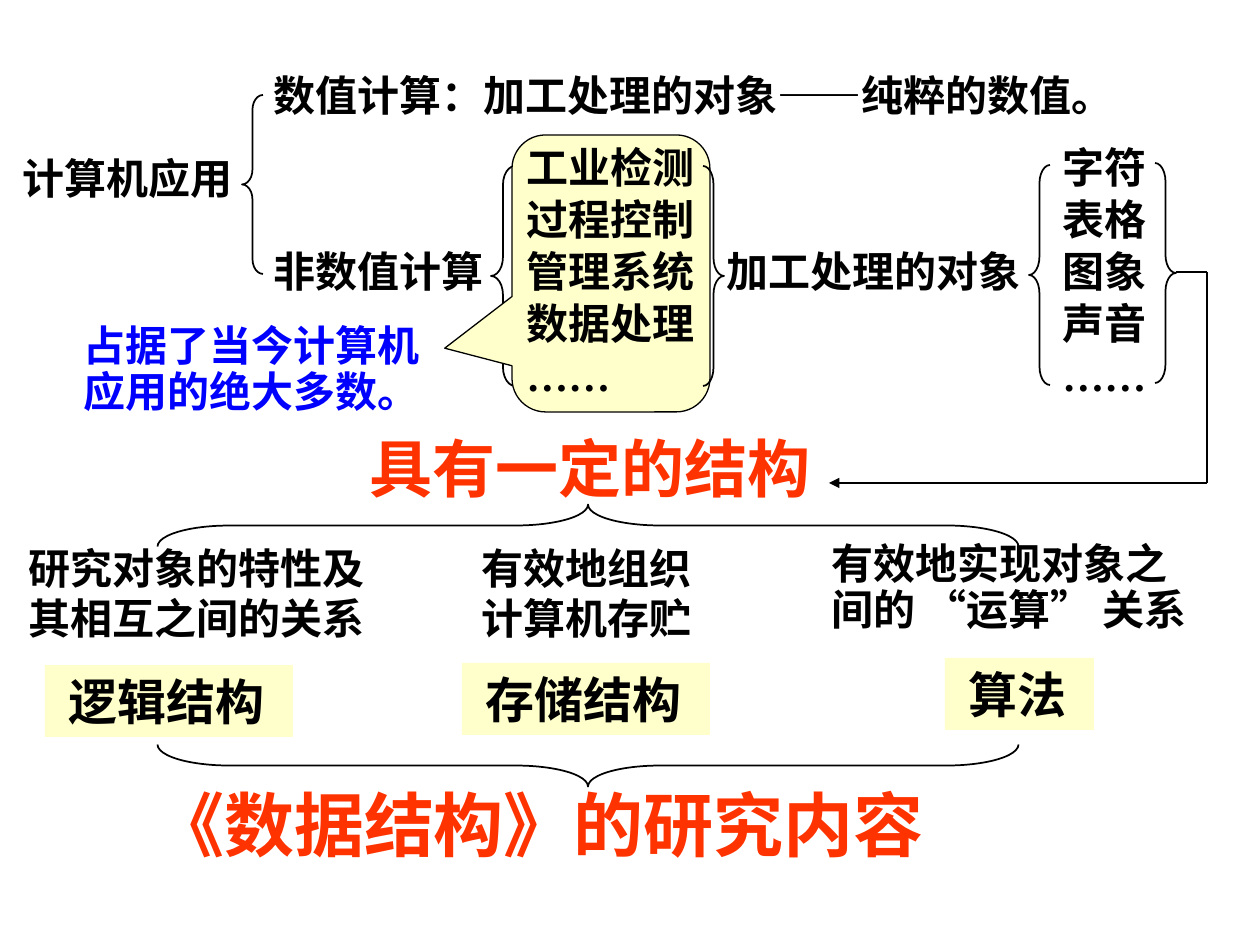
from dataclasses import dataclass

from lxml.etree import SubElement
from pptx import Presentation
from pptx.dml.color import RGBColor
from pptx.enum.shapes import MSO_CONNECTOR as Link, MSO_SHAPE as Form
from pptx.enum.text import MSO_AUTO_SIZE as Fit, PP_ALIGN as Align
from pptx.oxml.ns import qn
from pptx.util import Emu, Pt

SCALE = 914400 / 126
INK = {"black": "000000", "blue": "0000FF", "red": "FF3300", "cream": "FFFFCC"}
SERIF, SANS = "Times New Roman", "Noto Sans CJK SC"
ROW_TOP, ROW_STEP = 135, 52


@dataclass
class Brace:
    x: int
    y: int
    w: int
    h: int
    bend: float
    form: Form = Form.LEFT_BRACE
    turn: int = 0


@dataclass
class Text:
    x: int
    y: int
    w: int
    h: int
    lines: tuple[str, ...]
    size: int = 24
    ink: str = "black"
    font: str = SERIF
    wrap: bool = False
    tight: bool = False
    fill: str = ""


BRACES = [
    Brace(242, 95, 21, 179, 0.71),
    Brace(703, 166, 21, 220, 0.88, Form.RIGHT_BRACE),
    Brace(1029, 165, 21, 220, 0.88),
    Brace(1155, 163, 21, 220, 0.88, Form.RIGHT_BRACE),
    Brace(567, 95, 42, 861, 1.71, turn=90),
    Brace(567, 335, 42, 861, 1.71, turn=270),
]
FIELDS = ("工业检测", "过程控制", "管理系统", "数据处理", "……")
KINDS = ("字符", "表格", "图象", "声音", "……")
TEXTS = [
    Text(71, 319, 382, 103, ("占据了当今计算机", "应用的绝大多数。"),
         ink="blue", wrap=True, tight=True),
    Text(261, 63, 885, 63, ("数值计算：加工处理的对象——纯粹的数值。",)),
    Text(261, 239, 253, 63, ("非数值计算",), wrap=True),
    Text(10, 146, 294, 63, ("计算机应用",), wrap=True),
    Text(714, 239, 347, 63, ("加工处理的对象",), wrap=True),
    Text(357, 423, 500, 88, ("具有一定的结构",), 36, "red", SANS),
    Text(45, 665, 248, 72, (" 逻辑结构",), 28, fill="cream"),
    Text(462, 663, 248, 72, (" 存储结构",), 28, fill="cream"),
    Text(945, 658, 149, 72, (" 算法",), 28, fill="cream"),
    Text(469, 536, 246, 113, ("有效地组织", "计算机存贮")),
    Text(16, 536, 372, 113, ("研究对象的特性及", "其相互之间的关系")),
    Text(819, 537, 417, 105, ("有效地实现对象之", "间的 “运算” 关系"),
         wrap=True, tight=True),
    Text(126, 775, 874, 97, (" 《数据结构》的研究内容",), 40, "red", SANS),
]
ROUTE = [(1176, 272), (1207, 272), (1207, 483), (829, 483)]


def px(*vals: int) -> list[Emu]:
    return [Emu(round(v * SCALE)) for v in vals]


def tint(name: str) -> RGBColor:
    return RGBColor.from_string(INK[name])


def draw_brace(slide, b: Brace) -> None:
    shape = slide.shapes.add_shape(b.form, *px(b.x, b.y, b.w, b.h))
    shape.shadow.inherit = False
    shape.fill.background()
    shape.line.color.rgb = tint("black")
    shape.line.width = Pt(1)
    shape.adjustments[0] = b.bend
    shape.rotation = b.turn


def draw_bubble(slide) -> None:
    shape = slide.shapes.add_shape(
        Form.ROUNDED_RECTANGULAR_CALLOUT, *px(512, 135, 198, 277))
    shape.shadow.inherit = False
    shape.fill.solid()
    shape.fill.fore_color.rgb = tint("cream")
    shape.line.color.rgb = tint("black")
    shape.line.width = Pt(0.75)
    for i, val in enumerate((-0.84, 0.27, 0.17)):
        shape.adjustments[i] = val


def draw_text(slide, t: Text) -> None:
    box = slide.shapes.add_textbox(*px(t.x, t.y, t.w, t.h))
    if t.fill:
        box.fill.solid()
        box.fill.fore_color.rgb = tint(t.fill)
    frame = box.text_frame
    frame.word_wrap = t.wrap
    frame.auto_size = Fit.SHAPE_TO_FIT_TEXT
    frame.text = "\n".join(t.lines)
    for i, para in enumerate(frame.paragraphs):
        para.alignment = Align.LEFT
        if t.tight:
            para.line_spacing = 0.4 if i else 0.9
            para.space_before = Pt(12)
        font = para.font
        font.size, font.bold, font.name = Pt(t.size), True, t.font
        font.color.rgb = tint(t.ink)
        props = para._p.pPr.find(qn("a:defRPr"))
        SubElement(props, qn("a:ea")).set("typeface", SANS)


def draw_list(slide, x: int, words: tuple[str, ...]) -> None:
    for i, word in enumerate(words):
        wide = 204 if len(word) == 4 else 120
        draw_text(slide, Text(x, ROW_TOP + i * ROW_STEP, wide, 63, (word,)))


def draw_route(slide) -> None:
    """Draw the bent path, with an arrowhead on its last leg."""
    for start, end in zip(ROUTE, ROUTE[1:]):
        leg = slide.shapes.add_connector(Link.STRAIGHT, *px(*start, *end))
        leg.line.color.rgb = tint("black")
        leg.line.width = Pt(1)
        SubElement(leg._element.spPr, qn("a:effectLst"))
    SubElement(leg.line._get_or_add_ln(), qn("a:tailEnd")).set("type", "triangle")


def main() -> None:
    deck = Presentation()
    deck.slide_width, deck.slide_height = px(1260, 945)
    slide = deck.slides.add_slide(deck.slide_layouts[6])
    draw_brace(slide, Brace(491, 166, 24, 220, 0.79))
    draw_bubble(slide)
    for brace in BRACES:
        draw_brace(slide, brace)
    draw_list(slide, 514, FIELDS)
    draw_list(slide, 1050, KINDS)
    draw_route(slide)
    for text in TEXTS:
        draw_text(slide, text)
    deck.save("out.pptx")


if __name__ == "__main__":
    main()
